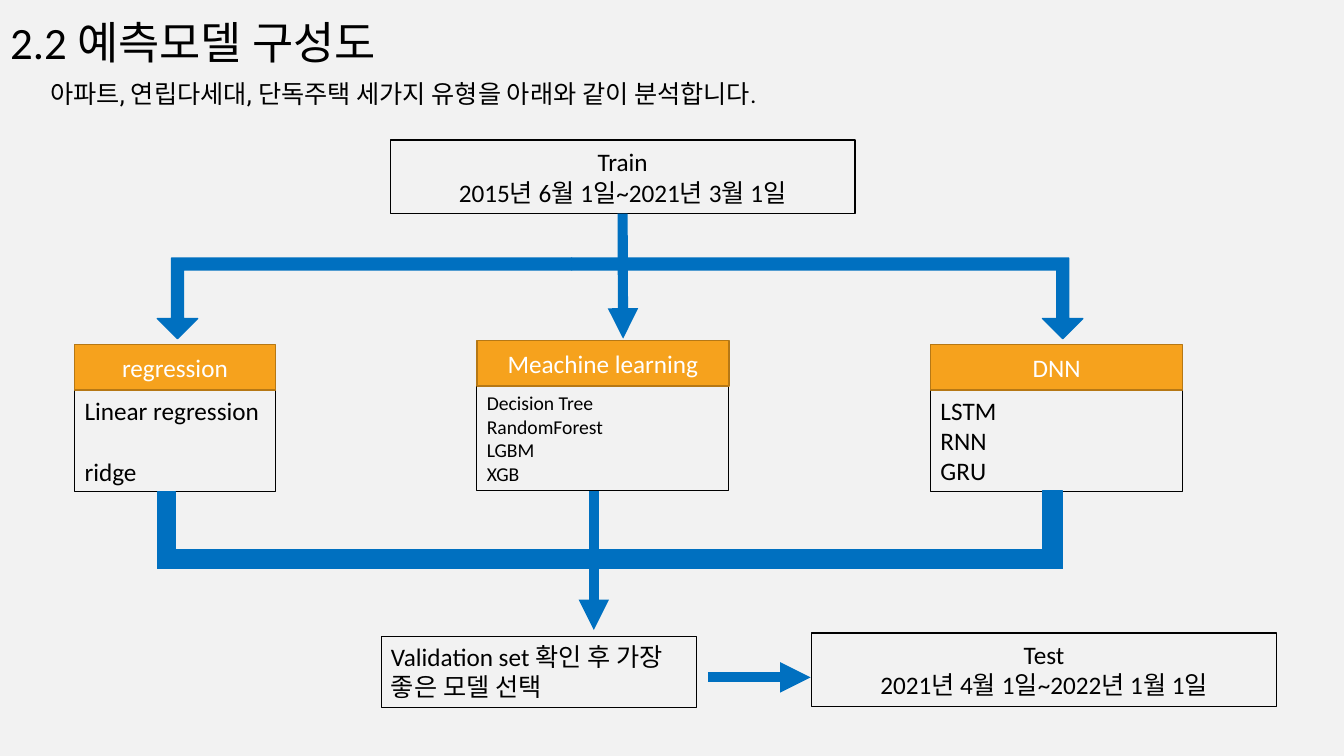
from pptx import Presentation
from pptx.dml.color import RGBColor
from pptx.enum import shapes, text
from pptx.oxml import ns, xmlchemy
from pptx.util import Inches, Pt

BLACK = RGBColor(0x00, 0x00, 0x00)
WHITE = RGBColor(0xFF, 0xFF, 0xFF)
BLUE = RGBColor(0x00, 0x70, 0xC0)
ORANGE = RGBColor(0xF6, 0xA2, 0x1D)
BROWN = RGBColor(0xB6, 0x78, 0x15)
GREY = RGBColor(0xF2, 0xF2, 0xF2)

TITLE = "2.2 예측모델 구성도"
SUBTITLE = "아파트, 연립다세대, 단독주택 세가지 유형을 아래와 같이 분석합니다."
TRAIN = ["Train", "2015년 6월 1일~2021년 3월 1일"]
TEST = ["Test", "2021년 4월 1일~2022년 1월 1일"]
VALIDATION = ["Validation set 확인 후 가장 좋은 모델 선택"]
MODELS = [
    ("regression", ["Linear regression", "ridge"], 0.74, 3.42, 1.99, 1.01, 18, 22),
    ("Meachine learning", ["Decision Tree", "RandomForest", "LGBM", "XGB"],
     4.73, 3.38, 2.5, 1.04, 14, 0),
    ("DNN", ["LSTM", "RNN", "GRU"], 9.23, 3.42, 2.5, 1.01, 18, 0),
]
HEADER_HEIGHT = 0.45
BRANCHES = [(1.56, 4.11, False), (5.67, 5.07, True)]
MERGE_BARS = [(10.34, 4.87, 0.2, 0.77), (1.56, 4.88, 0.18, 0.76), (1.56, 5.45, 8.98, 0.19)]


def write(frame, lines, size, color=BLACK, font="Calibri", centred=False, gap=0):
    """Fill a text frame with one paragraph per line."""
    frame.word_wrap = True
    frame.text = "\n".join(lines)
    for index, paragraph in enumerate(frame.paragraphs):
        paragraph.alignment = text.PP_ALIGN.CENTER if centred else text.PP_ALIGN.LEFT
        if gap and index:
            paragraph.space_before = Pt(gap)
        for run in paragraph.runs:
            run.font.size = Pt(size)
            run.font.name = font
            run.font.color.rgb = color
    if centred:
        frame.vertical_anchor = text.MSO_ANCHOR.MIDDLE
    else:
        frame.vertical_anchor = text.MSO_ANCHOR.TOP
        frame.auto_size = text.MSO_AUTO_SIZE.SHAPE_TO_FIT_TEXT


def add_block(slide, place, fill=None, line=BLACK, weight=1, kind=shapes.MSO_SHAPE.RECTANGLE):
    """Add a shape with a plain outline and an optional fill."""
    block = slide.shapes.add_shape(kind, *map(Inches, place))
    block.shadow.inherit = False
    if fill is None:
        block.fill.background()
    else:
        block.fill.solid()
        block.fill.fore_color.rgb = fill
    block.line.color.rgb = line
    block.line.width = Pt(weight)
    return block


def add_arrow(slide, start, end):
    """Add a thick blue arrow between two points."""
    arrow = slide.shapes.add_connector(
        shapes.MSO_CONNECTOR.STRAIGHT, *map(Inches, start + end))
    arrow.line.color.rgb = BLUE
    arrow.line.width = Pt(7.25)
    head = xmlchemy.OxmlElement("a:tailEnd")
    head.set("type", "triangle")
    arrow.line._get_or_add_ln().append(head)
    arrow._element.spPr.append(xmlchemy.OxmlElement("a:effectLst"))
    return arrow


def add_branch(slide, left, width, flipped):
    """Add a bent arrow that leads down to an outer model."""
    branch = add_block(slide, (left, 2.56, width, 0.8), BLUE, BLUE,
                       kind=shapes.MSO_SHAPE.BENT_UP_ARROW)
    for index, value in enumerate((0.147, 0.25, 0.25)):
        branch.adjustments[index] = value
    branch.rotation = 180
    if flipped:
        branch._element.spPr.find(ns.qn("a:xfrm")).set("flipH", "1")


def add_model(slide, name, methods, left, top, width, height, size, gap):
    """Add a model's list of methods under its orange header."""
    body = add_block(slide, (left, top + HEADER_HEIGHT, width, height), weight=0.75)
    write(body.text_frame, methods, size, gap=gap)
    header = add_block(slide, (left, top, width, HEADER_HEIGHT), ORANGE, BROWN)
    write(header.text_frame, [name], 18, WHITE, centred=True)


def main():
    """Build the slide and save it."""
    deck = Presentation()
    deck.slide_width, deck.slide_height = Inches(13.33), Inches(7.5)
    slide = deck.slides.add_slide(deck.slide_layouts[5])
    slide.background.fill.solid()
    slide.background.fill.fore_color.rgb = GREY

    title = slide.shapes.title
    title.left, title.top = Inches(0), Inches(0.1)
    title.width, title.height = Inches(11.93), Inches(0.64)
    write(title.text_frame, [TITLE], 32)
    subtitle = slide.shapes.add_textbox(*map(Inches, (0.4, 0.73, 11.53, 0.4)))
    write(subtitle.text_frame, [SUBTITLE], 18, font="Roboto")

    train = add_block(slide, (3.87, 1.39, 4.61, 0.73))
    write(train.text_frame, TRAIN, 18, centred=True)
    train_arrow = add_arrow(slide, (6.18, 2.12), (6.18, 3.36))
    train_arrow.begin_connect(train, 2)
    for branch in BRANCHES:
        add_branch(slide, *branch)
    for model in MODELS:
        add_model(slide, *model)

    add_arrow(slide, (5.89, 4.87), (5.89, 6.25))
    for bar in MERGE_BARS:
        add_block(slide, bar, BLUE, BLUE)

    test = add_block(slide, (8.05, 6.28, 4.61, 0.73))
    write(test.text_frame, TEST, 18, centred=True)
    validation = add_block(slide, (3.78, 6.31, 3.13, 0.71), weight=0.75)
    write(validation.text_frame, VALIDATION, 18)
    add_arrow(slide, (7.02, 6.72), (8.04, 6.72))

    deck.save("out.pptx")


if __name__ == "__main__":
    main()
